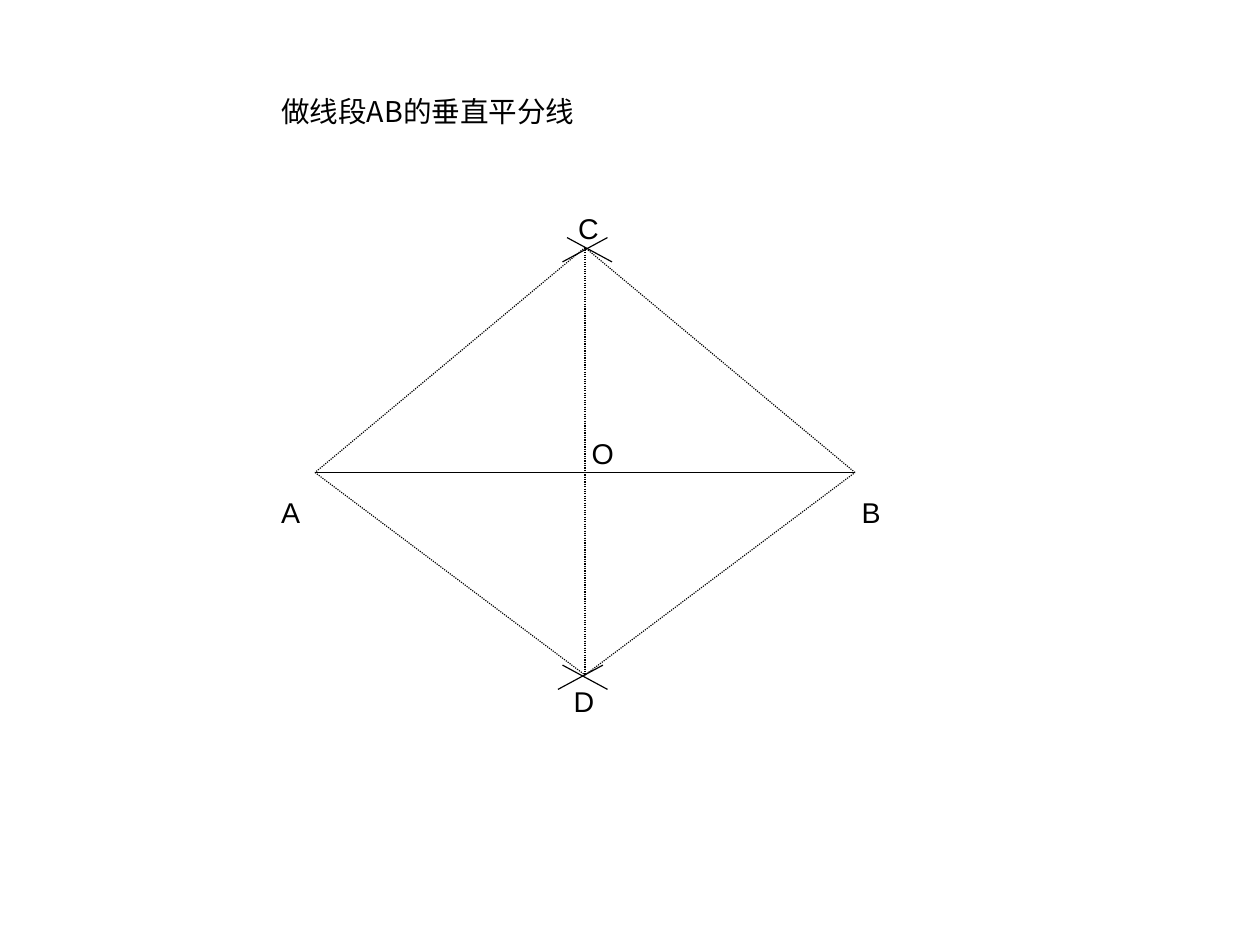
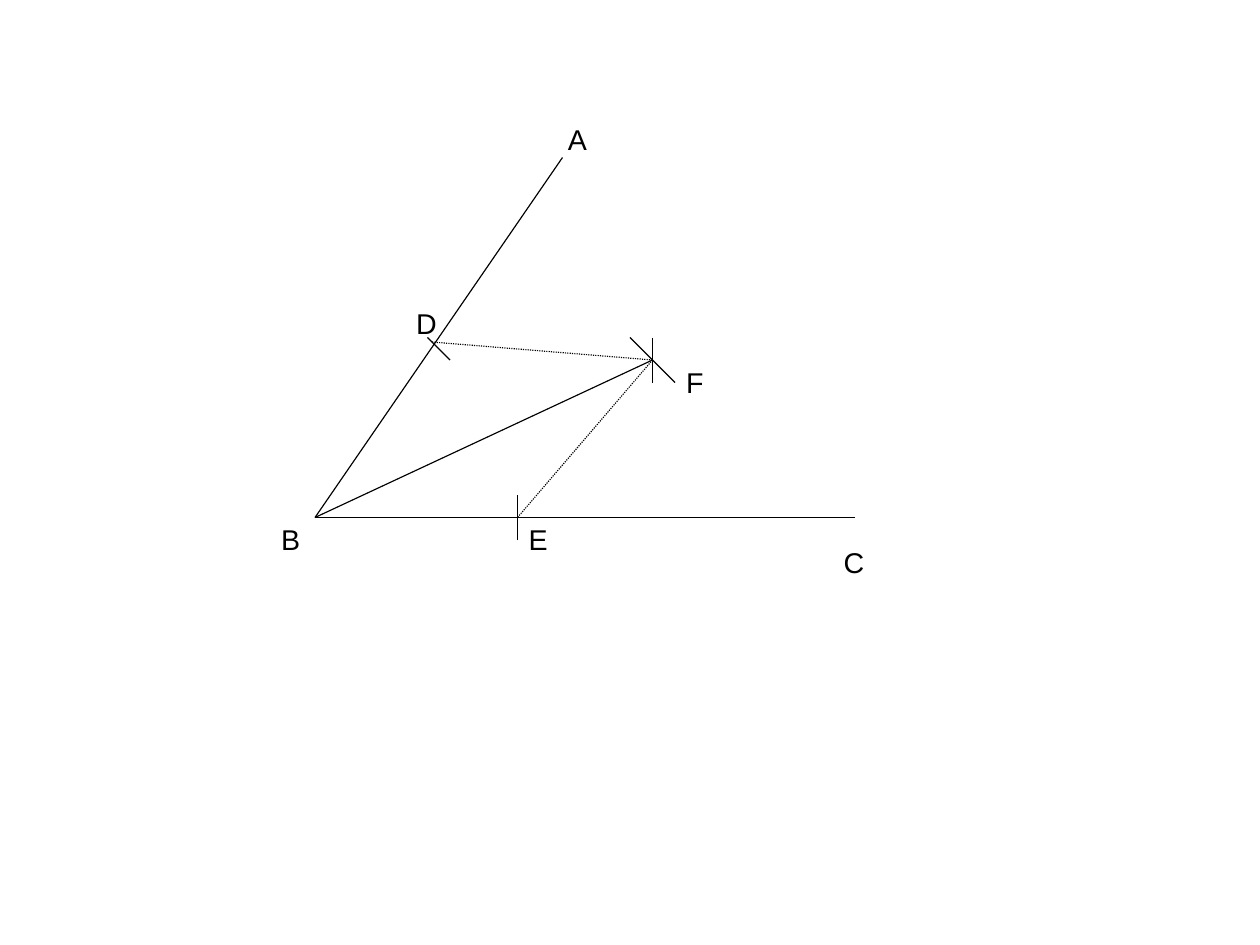
from dataclasses import dataclass

from lxml import etree
from pptx import Presentation
from pptx.dml.color import RGBColor
from pptx.enum.dml import MSO_LINE
from pptx.enum.shapes import MSO_CONNECTOR
from pptx.enum.text import MSO_ANCHOR
from pptx.oxml.ns import qn
from pptx.util import Cm, Inches, Pt

# The page is a grid of one-centimetre squares.
COLUMNS, ROWS = 28, 21


@dataclass(frozen=True)
class Theme:
    ink: RGBColor = RGBColor(0, 0, 0)
    label_font: str = "Arial"
    title_font: str = "Noto Sans CJK SC"
    text_size: float = 18
    line_width: float = 0.75
    label_spacing: float = 0.93
    title_spacing: float = 1.09


THEME = Theme()


def add_page(deck):
    return deck.slides.add_slide(deck.slide_layouts[6])


def add_line(page, start, end, dotted=False):
    line = page.shapes.add_connector(
        MSO_CONNECTOR.STRAIGHT, *(Cm(value) for value in (*start, *end)))
    line.line.color.rgb = THEME.ink
    line.line.width = Pt(THEME.line_width)
    if dotted:
        line.line.dash_style = MSO_LINE.ROUND_DOT
    etree.SubElement(line._element.spPr, qn("a:effectLst"))


def add_path(page, *points, dotted=False):
    """Join each point to the next one."""
    for start, end in zip(points, points[1:]):
        add_line(page, start, end, dotted)


def add_tick(page, centre, reach):
    """Draw a stroke through centre, extending by reach on both sides."""
    (x, y), (dx, dy) = centre, reach
    add_line(page, (x - dx, y - dy), (x + dx, y + dy))


def add_cross(page, centre):
    """Draw the two compass arcs that meet near centre."""
    x, y = centre
    for shift, rise in ((-0.05, -0.27), (0.05, 0.27)):
        add_tick(page, (x + shift, y), (0.5, rise))


def add_text(page, text, corner, size, font, spacing, top_inset, wrap):
    box = page.shapes.add_textbox(*(Cm(value) for value in (*corner, *size)))
    frame = box.text_frame
    frame.word_wrap = wrap
    frame.vertical_anchor = MSO_ANCHOR.TOP
    frame.margin_left = frame.margin_right = Inches(0.1)
    frame.margin_top, frame.margin_bottom = Inches(top_inset), Inches(0.05)
    para = frame.paragraphs[0]
    para.line_spacing = spacing
    span = para.add_run()
    span.text = text
    span.font.size = Pt(THEME.text_size)
    span.font.color.rgb = THEME.ink
    span.font.name = font
    etree.SubElement(span.font._element, qn("a:ea"), typeface=font)


def add_labels(page, corners):
    for letter, corner in corners.items():
        add_text(page, letter, corner, (1, 0.96), THEME.label_font,
                 THEME.label_spacing, top_inset=0.07, wrap=True)


def add_title(page, text):
    add_text(page, text, (6, 1.9), (7.26, 1.07), THEME.title_font,
             THEME.title_spacing, top_inset=0.05, wrap=False)


def draw_perpendicular_bisector(page):
    a, b, c, d = (7, 10.5), (19, 10.5), (13, 5.5), (13, 15)
    add_title(page, "做线段AB的垂直平分线")
    add_line(page, a, b)
    add_cross(page, (13.05, 5.55))
    add_cross(page, (12.95, 15.05))
    add_path(page, c, a, d, b, c, d, dotted=True)
    add_labels(page, {"A": (6, 10.9), "B": (18.9, 10.9), "C": (12.6, 4.57),
                      "D": (12.5, 15.09), "O": (12.9, 9.58)})


def draw_angle_bisector(page):
    a, b, c = (12.5, 3.5), (7, 11.5), (19, 11.5)
    d, e, f = (9.6, 7.6), (11.5, 11.5), (14.5, 8)
    add_path(page, a, b, c)
    add_line(page, b, f)
    add_path(page, d, f, e, dotted=True)
    add_tick(page, (9.75, 7.75), (0.25, 0.25))
    add_tick(page, e, (0, 0.5))
    add_tick(page, f, (0, 0.5))
    add_tick(page, f, (0.5, 0.5))
    add_labels(page, {"A": (12.37, 2.6), "B": (6, 11.5), "C": (18.5, 12),
                      "D": (9, 6.7), "E": (11.5, 11.5), "F": (15, 8)})


def main():
    deck = Presentation()
    deck.slide_width, deck.slide_height = Cm(COLUMNS), Cm(ROWS)
    for draw in (draw_perpendicular_bisector, draw_angle_bisector):
        draw(add_page(deck))
    deck.save("out.pptx")


if __name__ == "__main__":
    main()
